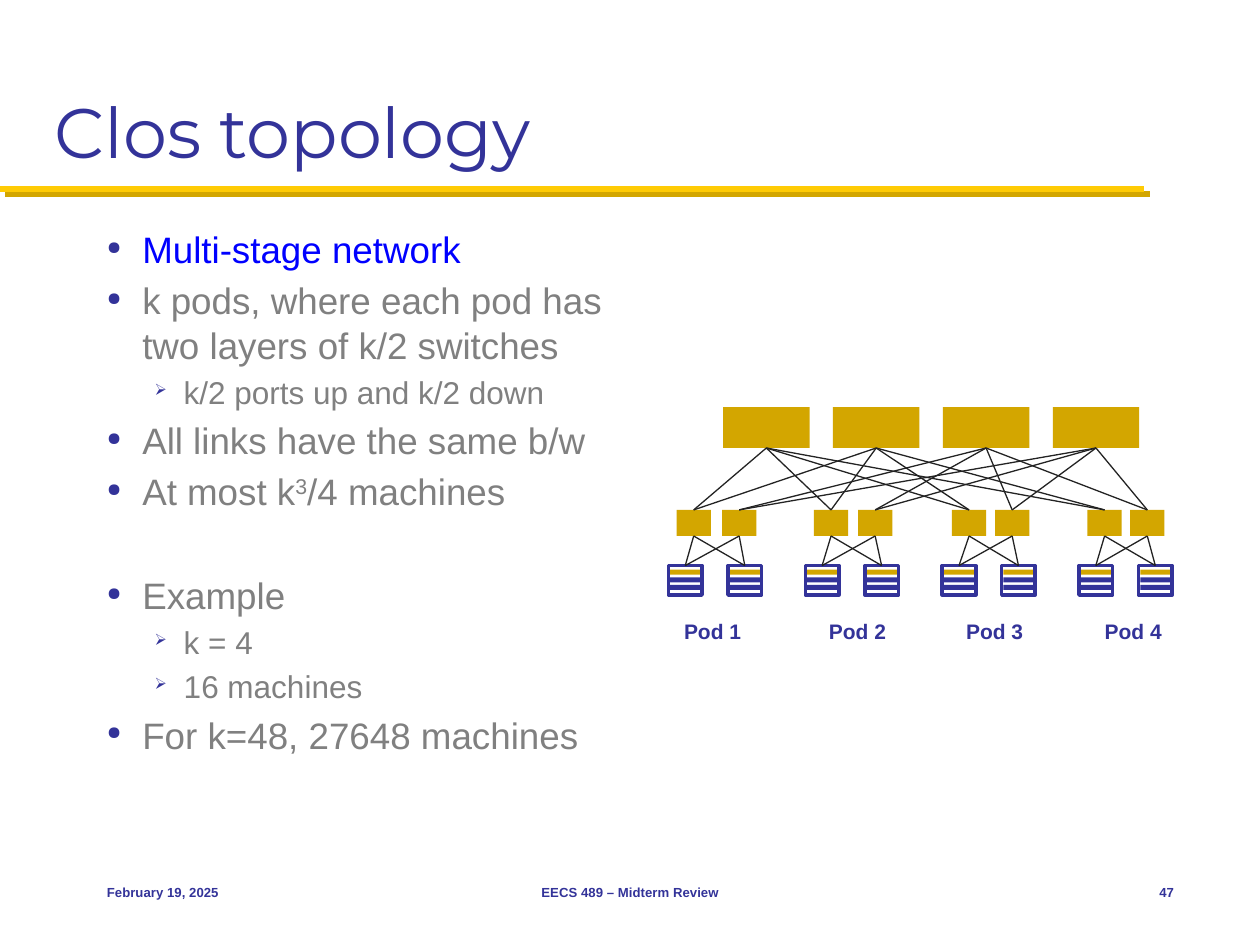
from dataclasses import dataclass

from pptx import Presentation
from pptx.dml.color import RGBColor
from pptx.enum.shapes import MSO_CONNECTOR, MSO_SHAPE
from pptx.enum.text import MSO_ANCHOR, MSO_AUTO_SIZE, PP_ALIGN
from pptx.oxml import parse_xml
from pptx.oxml.ns import nsdecls
from pptx.util import Pt

RECTANGLE, STRAIGHT = MSO_SHAPE.RECTANGLE, MSO_CONNECTOR.STRAIGHT
TOP, MIDDLE, BOTTOM = MSO_ANCHOR.TOP, MSO_ANCHOR.MIDDLE, MSO_ANCHOR.BOTTOM
LEFT, CENTER, RIGHT = PP_ALIGN.LEFT, PP_ALIGN.CENTER, PP_ALIGN.RIGHT
GROW = MSO_AUTO_SIZE.SHAPE_TO_FIT_TEXT
TOP_SITE, BOTTOM_SITE = 0, 2


@dataclass(frozen=True)
class Theme:
    navy: str = "333399"
    gold: str = "D3A600"
    yellow: str = "FFCB05"
    blue: str = "0000FF"
    gray: str = "808080"
    wire: str = "232323"
    heading_font: str = "Montserrat"
    text_font: str = "Arial"
    title_size: float = 40
    body_size: float = 21
    detail_size: float = 18
    label_size: float = 12
    footer_size: float = 7.5


THEME = Theme()


@dataclass(frozen=True)
class Level:
    size: float
    indent: float
    hanging: float
    bullet: str


@dataclass(frozen=True)
class Item:
    wording: tuple[str, ...]  # every second string is raised
    level: int = 0
    color: str = THEME.gray
    gap: float | None = None  # points; otherwise a fifth of the line


@dataclass(frozen=True)
class Pod:
    label: str
    label_left: float
    edge_lefts: tuple[float, float]


LEVELS = (Level(THEME.body_size, 20.2, 20.2, "●"),
          Level(THEME.detail_size, 43.9, 16.6, "➢"))
ITEMS = (
    Item(("Multi-stage network",), color=THEME.blue, gap=0),
    Item(("k pods, where each pod has two layers of k/2 switches",)),
    Item(("k/2 ports up and k/2 down",), level=1),
    Item(("All links have the same b/w",)),
    Item(("At most k", "3", "/4 machines")),
    Item(("Example",), gap=34),
    Item(("k = 4",), level=1),
    Item(("16 machines",), level=1),
    Item(("For k=48, 27648 machines",)),
)
PODS = (
    Pod("Pod 1", 383.8, (386.6, 412.6)),
    Pod("Pod 2", 466.6, (465.1, 490.3)),
    Pod("Pod 3", 545, (544, 568.6)),
    Pod("Pod 4", 624.2, (621.4, 645.8)),
)
FOOTERS = (
    ("February 19, 2025", 54, 150, LEFT),
    ("EECS 489 – Midterm Review", 246, 228, CENTER),
    ("47", 630, 48, RIGHT),
)


def write_span(para, text: str, *, size: float, color: str, font: str = THEME.text_font,
               bold: bool = False, raised: bool = False) -> None:
    span = para.add_run()
    span.text = text
    span.font.name, span.font.size, span.font.bold = font, Pt(size), bold
    span.font.color.rgb = RGBColor.from_string(color)
    if raised:
        span._r.get_or_add_rPr().set("baseline", "30000")


def add_box(page, left: float, top: float, width: float, height: float,
            anchor=TOP, wrap: bool = True):
    box = page.shapes.add_textbox(Pt(left), Pt(top), Pt(width), Pt(height))
    box.text_frame.word_wrap = wrap
    box.text_frame.vertical_anchor = anchor
    return box


def add_block(page, left: float, top: float, width: float, height: float,
              fill: str | None = None, outline: str | None = None):
    block = page.shapes.add_shape(RECTANGLE, Pt(left), Pt(top), Pt(width), Pt(height))
    block.shadow.inherit = False
    if fill:
        block.fill.solid()
        block.fill.fore_color.rgb = RGBColor.from_string(fill)
    else:
        block.fill.background()
    if outline:
        block.line.color.rgb = RGBColor.from_string(outline)
        block.line.width = Pt(2)
    else:
        block.line.fill.background()
    return block


def add_line(page, start: tuple[float, float], end: tuple[float, float],
             color: str, width: float, effect: str = ""):
    line = page.shapes.add_connector(STRAIGHT, *(Pt(value) for value in (*start, *end)))
    line.line.color.rgb = RGBColor.from_string(color)
    line.line.width = Pt(width)
    line._element.spPr.append(
        parse_xml(f'<a:effectLst {nsdecls("a")}>{effect}</a:effectLst>'))
    return line


def link(page, lower, upper) -> None:
    wire = add_line(page, (0, 0), (0, 0), THEME.wire, 0.75)
    wire.begin_connect(lower, TOP_SITE)
    wire.end_connect(upper, BOTTOM_SITE)


def add_server(page, left: float, top: float = 323.2):
    for row, color in enumerate((THEME.gold, THEME.navy, THEME.navy)):
        add_block(page, left + 1, top + 2.4 + 4.3 * row, 17.3, 2.9, fill=color)
    return add_block(page, left, top, 19.2, 16.8, outline=THEME.navy)


def format_item(para, level: Level, gap: float | None) -> None:
    properties = para._p.get_or_add_pPr()
    properties.set("marL", str(Pt(level.indent)))
    properties.set("indent", str(-Pt(level.hanging)))
    spacing = '<a:spcPct val="20000"/>' if gap is None else f'<a:spcPts val="{gap * 100:.0f}"/>'
    for tag, content in (
        ("spcBef", f">{spacing}</a:spcBef>"),
        ("buClr", f'><a:srgbClr val="{THEME.navy}"/></a:buClr>'),
        ("buSzPct", ' val="50000"/>'),
        ("buChar", f' char="{level.bullet}"/>'),
    ):
        properties.append(parse_xml(f'<a:{tag} {nsdecls("a")}{content}'))


def draw_body(page) -> None:
    frame = add_box(page, 54, 126, 306, 348).text_frame
    for index, item in enumerate(ITEMS):
        para = frame.add_paragraph() if index else frame.paragraphs[0]
        para.level = item.level
        level = LEVELS[item.level]
        format_item(para, level, item.gap)
        for position, text in enumerate(item.wording):
            write_span(para, text, size=level.size, color=item.color, raised=position % 2 == 1)


def draw_network(page) -> None:
    cores = [add_block(page, 413.2 + 62.8 * column, 232.6, 49.4, 23.4, fill=THEME.gold)
             for column in range(4)]
    for index, pod in enumerate(PODS):
        servers = [add_server(page, 382 + 78.2 * index + 34 * side) for side in range(2)]
        edges = [add_block(page, left, 291.4, 19.6, 14.9, fill=THEME.gold)
                 for left in pod.edge_lefts]
        for side, edge in enumerate(edges):
            for server in servers:
                link(page, server, edge)
            for core in cores[2 * side:2 * side + 2]:
                link(page, edge, core)
        label = add_box(page, pod.label_left, 350, 47.5, 21.6, wrap=False).text_frame
        label.auto_size = GROW
        write_span(label.paragraphs[0], pod.label, size=THEME.label_size,
                   color=THEME.navy, bold=True)


def main() -> None:
    deck = Presentation()
    deck.slide_width, deck.slide_height = Pt(720), Pt(540)
    page = deck.slides.add_slide(deck.slide_layouts[6])

    # Title and shadowed rule
    shadow = (f'<a:outerShdw dist="{Pt(4.2)}" dir="2700000" algn="ctr" rotWithShape="0">'
              f'<a:srgbClr val="{THEME.gold}"/></a:outerShdw>')
    add_line(page, (0, 108), (654, 108), THEME.yellow, 3.5, shadow)
    title = add_box(page, 24, 12, 672, 90, BOTTOM).text_frame
    write_span(title.paragraphs[0], "Clos topology", size=THEME.title_size,
               color=THEME.navy, font=THEME.heading_font)

    # Bullets and diagram
    draw_body(page)
    draw_network(page)

    # Footer
    for text, left, width, alignment in FOOTERS:
        para = add_box(page, left, 492, width, 36, MIDDLE).text_frame.paragraphs[0]
        para.alignment = alignment
        write_span(para, text, size=THEME.footer_size, color=THEME.navy, bold=True)

    deck.save("out.pptx")


if __name__ == "__main__":
    main()
